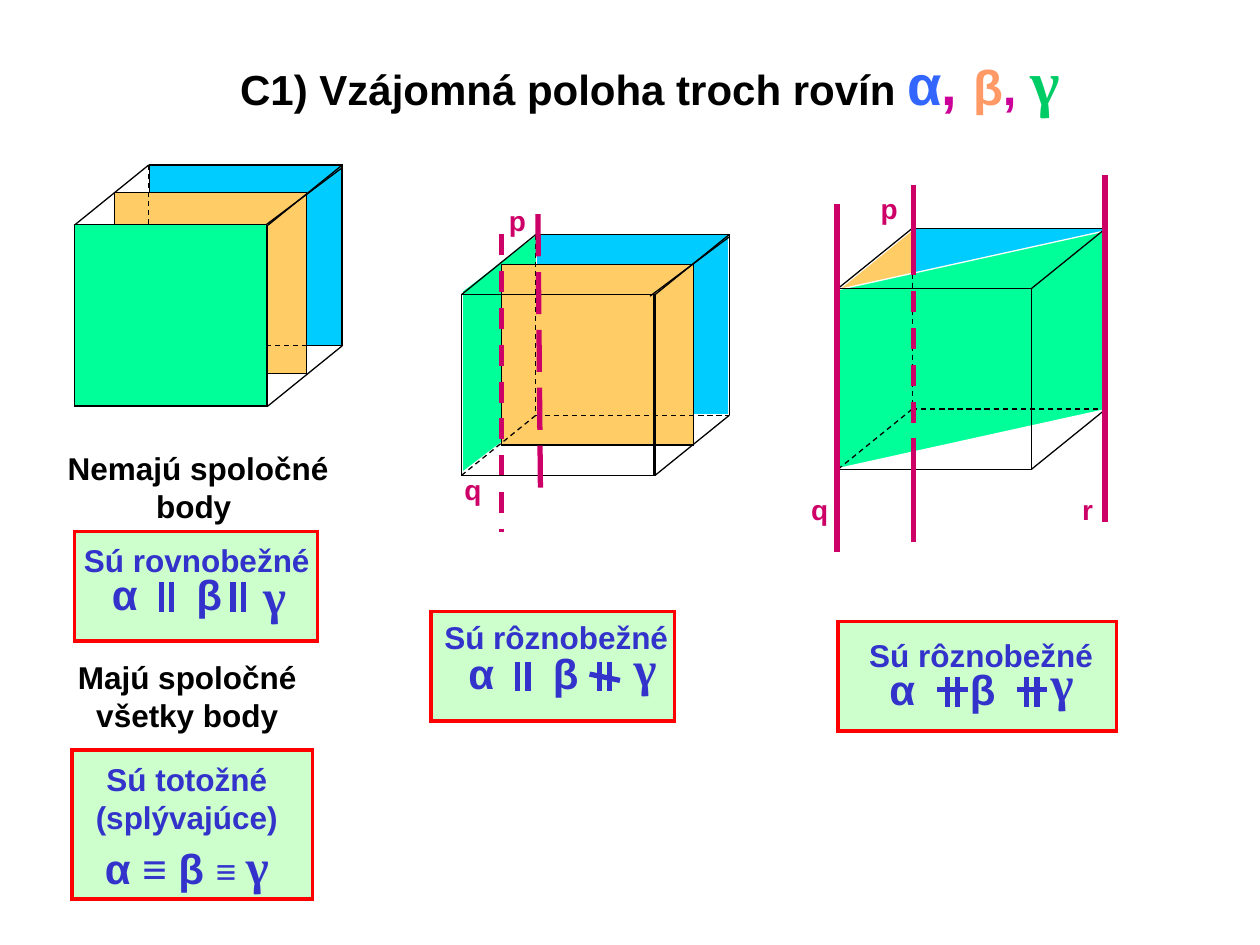
"""Build the slide on the mutual position of three planes."""
from dataclasses import dataclass

from lxml import etree
from pptx import Presentation
from pptx.dml.color import RGBColor
from pptx.enum import dml, shapes, text
from pptx.oxml import ns
from pptx.util import Pt


@dataclass(frozen=True)
class Theme:
    """Colours, fonts, type sizes and line widths."""
    black: str = "000000"
    white: str = "FFFFFF"
    blue: str = "00CCFF"
    orange: str = "FFCC66"
    green: str = "00FF99"
    line_name: str = "CC0066"
    relation: str = "3333CC"
    box: str = "CCFFCC"
    box_edge: str = "FF0000"
    alpha: str = "3366FF"
    beta: str = "FF9966"
    gamma: str = "00CC66"
    comma: str = "CC0099"
    sans: str = "Arial"
    serif: str = "Times New Roman"
    name_size: int = 16
    body: int = 18
    sign: int = 20
    letter: int = 24
    large: int = 28
    alpha_size: int = 32
    gamma_size: int = 36
    thin: float = 0.75
    frame: float = 2
    thick: float = 3


T = Theme()
DASH, LONG_DASH = dml.MSO_LINE.DASH, dml.MSO_LINE.LONG_DASH
CENTER = text.PP_ALIGN.CENTER
FACE = (109.9, 103.3)
CUBE = (110.6, 103.3)
DEPTH = (42.5, 34.4)
MARK_GAP, MARK_HEIGHT, MARK_DROP, STRIKE_DROP = 5.8, 16.9, 11.5, 7.2


def apply(target, values):
    """Set each named attribute of the target."""
    for name, value in values.items():
        setattr(target, name, value)


def paint(area, fill, edge, width):
    """Give an area its fill and sharp-cornered outline, or none."""
    area.shadow.inherit = False
    for part, colour in ((area.fill, fill), (area.line.fill, edge)):
        if colour:
            part.solid()
            part.fore_color.rgb = RGBColor.from_string(colour)
        else:
            part.background()
    if edge:
        area.line.width = Pt(width)
        outline = area._element.spPr.find(ns.qn("a:ln"))
        etree.SubElement(outline, ns.qn("a:miter"), lim="800000")


def plane(parent, left, top, size=FACE, fill=None, edge=T.black, width=T.thin):
    """Draw a rectangle."""
    area = parent.shapes.add_shape(
        shapes.MSO_SHAPE.RECTANGLE, *map(Pt, (left, top, *size)))
    paint(area, fill, edge, width)


def slanted_plane(slide, corners, fill, edge=None):
    """Draw a plane through the given corners."""
    points = [(Pt(x), Pt(y)) for x, y in corners]
    builder = slide.shapes.build_freeform(*points[0], scale=1.0)
    builder.add_line_segments(points[1:], close=True)
    paint(builder.convert_to_shape(), fill, edge, T.thin)


def segment(parent, start, end, colour=T.black, width=T.thin, dash=None):
    """Draw a straight line."""
    stroke = parent.shapes.add_connector(
        shapes.MSO_CONNECTOR.STRAIGHT, *map(Pt, (*start, *end)))
    stroke.line.color.rgb = RGBColor.from_string(colour)
    apply(stroke.line, {"width": Pt(width), "dash_style": dash})
    etree.SubElement(stroke._element.spPr, ns.qn("a:effectLst"))


def named_line(slide, start, end, dash=None):
    """Draw a line of intersection."""
    segment(slide, start, end, T.line_name, T.thick, dash)


def write(slide, place, paragraphs, align=None, wrap=False):
    """Write paragraphs of (words, size, colour, font) runs."""
    frame = slide.shapes.add_textbox(*map(Pt, place)).text_frame
    apply(frame, {"word_wrap": wrap, "auto_size": text.MSO_AUTO_SIZE.SHAPE_TO_FIT_TEXT,
                  "vertical_anchor": text.MSO_ANCHOR.TOP})
    for number, runs in enumerate(paragraphs):
        paragraph = frame.add_paragraph() if number else frame.paragraphs[0]
        paragraph.alignment = align
        for words, size, colour, font in runs:
            run = paragraph.add_run()
            run.text = words
            apply(run.font, {"name": font, "size": Pt(size), "bold": True})
            run.font.color.rgb = RGBColor.from_string(colour)


def caption(slide, place, lines, colour):
    """Write centred lines of body text."""
    write(slide, place, [[(line, T.body, colour, T.sans)] for line in lines], CENTER)


def line_names(slide, names):
    """Name the lines of intersection."""
    for name, left, top in names:
        write(slide, (left, top, 23.8, 26.6), [[(name, T.name_size, T.line_name, T.sans)]])


def cube(slide, left, top):
    """Draw a wire cube with dashed hidden edges from its front top left corner."""
    group = slide.shapes.add_group_shape()
    (width, height), (across, up) = CUBE, DEPTH
    right, bottom = left + width, top + height
    back_left, back_right = left + across, right + across
    back_top, back_bottom = top - up, bottom - up
    plane(group, left, top, CUBE)
    for start, end, dash in (
            ((right, bottom), (back_right, back_bottom), None),
            ((back_right, back_top), (back_right, back_bottom), None),
            ((back_left, back_top), (back_right, back_top), None),
            ((back_left, back_bottom), (back_right, back_bottom), DASH),
            ((back_left, back_top), (back_left, back_bottom), DASH),
            ((left, top), (back_left, back_top), None),
            ((left, bottom), (back_left, back_bottom), DASH),
            ((right, top), (back_right, back_top), None)):
        segment(group, start, end, dash=dash)


def parallel_sign(slide, left, top, slope=None):
    """Draw two bars, struck through when a slope is given."""
    for x in (left, left + MARK_GAP):
        segment(slide, (x, top), (x, top + MARK_HEIGHT), T.relation, T.thick)
    if slope is not None:
        y = top + STRIKE_DROP
        segment(slide, (left - MARK_GAP, y), (left + 2 * MARK_GAP, y + slope),
                T.relation, T.thick)


def relation(slide, box, words, words_at, letters, signs):
    """Draw a framed relation of the three planes."""
    plane(slide, *box[:2], box[2:], T.box, T.box_edge, T.frame)
    caption(slide, (*words_at, 147, 29), [words], T.relation)
    for letter, left, top in letters:
        size, font = (T.large, T.serif) if letter == "γ" else (T.letter, T.sans)
        write(slide, (left, top, 28.8, 36), [[(letter, size, T.relation, font)]])
    for left, slope in signs:
        parallel_sign(slide, left, letters[0][2] + MARK_DROP, slope)


def heading(slide):
    """Write the title."""
    write(slide, (116.1, 20.6, 510.5, 50.4), [[
        ("C1) Vzájomná poloha troch rovín ", T.letter, T.black, T.sans),
        ("α", T.alpha_size, T.alpha, T.sans), (", ", T.alpha_size, T.comma, T.sans),
        ("β", T.large, T.beta, T.sans), (", ", T.large, T.comma, T.sans),
        ("γ", T.gamma_size, T.gamma, T.serif)]], CENTER, True)


def parallel_planes(slide):
    """Show three parallel or identical planes."""
    plane(slide, 85.5, 94.3, fill=T.blue)
    plane(slide, 65.4, 110.1, fill=T.orange)
    plane(slide, 42.5, 128.7)
    segment(slide, (195.6, 95.8), (150.5, 129.6))
    cube(slide, 42.5, 128.7)
    plane(slide, 42.5, 128.5, fill=T.green)
    caption(slide, (29.2, 253.1, 168, 50.4), ["Nemajú spoločné", "body "], T.black)
    relation(slide, (42.5, 303.8, 139, 62.6), "Sú rovnobežné", (39, 305.8),
             [("α", 56.9, 321.1), ("β", 105.1, 321.1), ("γ", 143.3, 319.7)],
             [(92.2, None), (133.2, None)])
    caption(slide, (34, 372.6, 146, 50.4), ["Majú spoločné", "všetky body"], T.black)
    plane(slide, 41.2, 428.6, (137.5, 85), T.box, T.box_edge, T.frame)
    lines = [[(words, T.body, T.relation, T.sans)] for words in ("Sú totožné", "(splývajúce)")]
    lines.append([("α ≡ β ", T.letter, T.relation, T.sans),
                  ("≡ ", T.sign, T.relation, T.sans), ("γ", T.large, T.relation, T.serif)])
    write(slide, (44.8, 430.6, 124, 84.2), lines, CENTER)


def two_parallel_planes(slide):
    """Show two parallel planes cut by a third."""
    slanted_plane(slide, [(306.7, 133.9), (306.7, 237.6), (264.2, 270), (264.2, 166.3)],
                  T.green, T.white)
    plane(slide, 306.7, 133.9, fill=T.blue, edge=T.white)
    line_names(slide, [("p", 283.7, 112.5), ("q", 258.3, 266.4)])
    relation(slide, (246.4, 349.4, 139, 62.6), "Sú rôznobežné", (244.4, 349.6),
             [("α", 260.6, 366.5), ("β", 308.9, 366.5), ("γ", 355, 360.7)],
             [(295.9, None), (342.7, 3.6)])
    plane(slide, 286.4, 151.1, fill=T.orange)
    named_line(slide, (286.4, 133.9), (286.4, 303.8), DASH)
    plane(slide, 263.7, 168.4)
    segment(slide, (416.7, 135.4), (371.5, 169.2))
    cube(slide, 263.7, 168.4)
    named_line(slide, (307.4, 122.4), (308.9, 287.3), LONG_DASH)


def intersecting_planes(slide):
    """Show three planes meeting in pairs."""
    relation(slide, (479, 355.2, 159.1, 62.6), "Sú rôznobežné", (487.2, 360),
             [("α", 501.1, 375.4), ("β", 547.2, 375.4), ("γ", 593.3, 369.4)],
             [(541.4, 0), (586.8, 0)])
    slanted_plane(slide, [(520.6, 132.5), (478.1, 167), (478.1, 269.3), (520.6, 235.4)],
                  T.orange)
    plane(slide, 521.3, 131, fill=T.blue, edge=None)
    line_names(slide, [("p", 496.1, 105.8), ("q", 456.5, 277.9), ("r", 611.3, 277.9)])
    slanted_plane(slide, [(478.8, 165.6), (632.2, 131.8), (632.2, 234), (478.8, 267.8)],
                  T.green, T.white)
    cube(slide, 478.8, 164.9)
    for x, top, bottom, dash in ((631.4, 100.1, 298.1, None), (522.2, 258.5, 309.6, None),
                                 (522.2, 105.8, 157, None), (478.3, 116.8, 315.2, None),
                                 (522.2, 145.4, 258.5, DASH)):
        named_line(slide, (x, top), (x, bottom), dash)


def main():
    """Build and save the slide."""
    deck = Presentation()
    apply(deck, {"slide_width": Pt(720), "slide_height": Pt(540)})
    slide = deck.slides.add_slide(deck.slide_layouts[6])
    for draw in (heading, parallel_planes, two_parallel_planes, intersecting_planes):
        draw(slide)
    deck.save("out.pptx")


if __name__ == "__main__":
    main()
